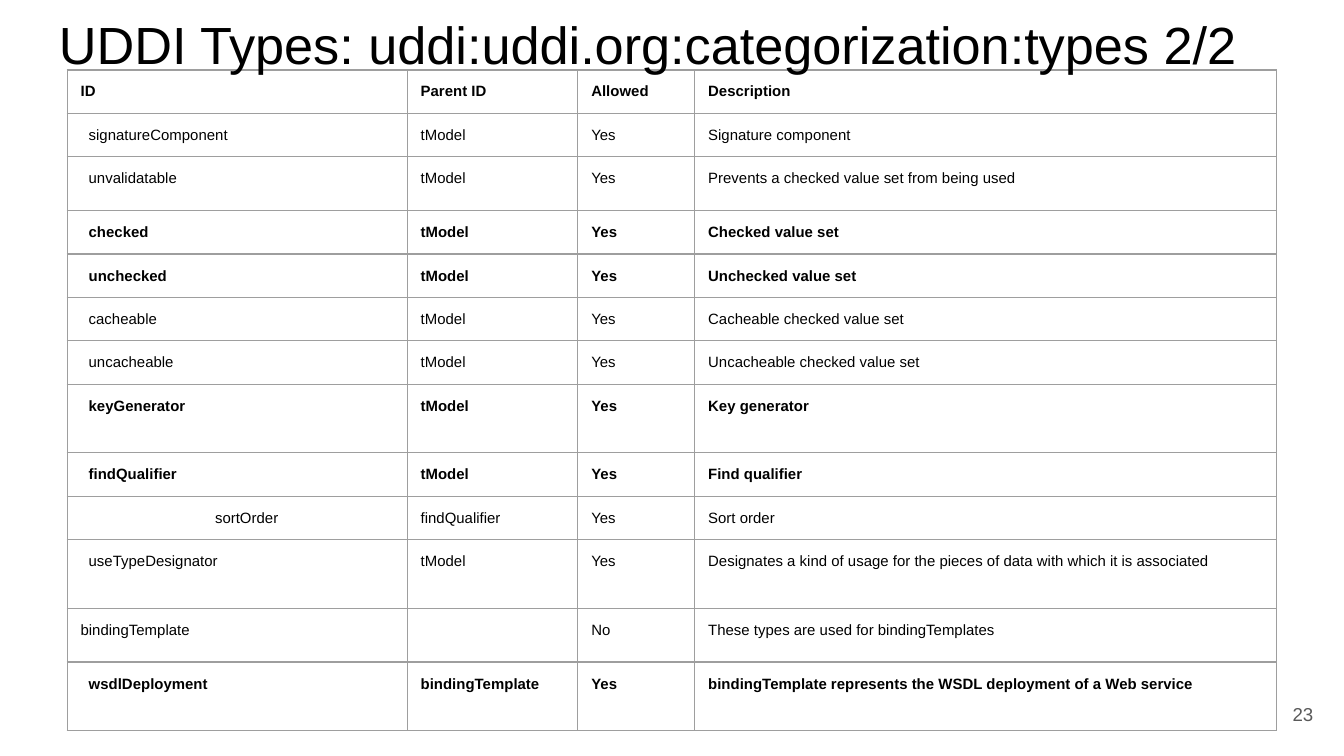
import pptx
import pptx.util
import pptx.dml.color
import pptx.enum.text
import pptx.oxml.ns
import lxml.etree

Inch, Pt = pptx.util.Inches, pptx.util.Pt
ANCHOR, ALIGN = pptx.enum.text.MSO_ANCHOR, pptx.enum.text.PP_ALIGN
qn = pptx.oxml.ns.qn

# Content: indent level, bold, row height, then the four cells
TITLE = "UDDI Types: uddi:uddi.org:categorization:types 2/2"
PAGE = "23"
LOW, MID, TALL = 0.3, 0.4, 0.51
ROWS = [
    (0, True, LOW, "ID", "Parent ID", "Allowed", "Description"),
    (1, False, LOW, "signatureComponent", "tModel", "Yes", "Signature component"),
    (1, False, MID, "unvalidatable", "tModel", "Yes",
     "Prevents a checked value set from being used"),
    (1, True, LOW, "checked", "tModel", "Yes", "Checked value set"),
    (1, True, LOW, "unchecked", "tModel", "Yes", "Unchecked value set"),
    (1, False, LOW, "cacheable", "tModel", "Yes", "Cacheable checked value set"),
    (1, False, LOW, "uncacheable", "tModel", "Yes", "Uncacheable checked value set"),
    (1, True, TALL, "keyGenerator", "tModel", "Yes", "Key generator"),
    (1, True, LOW, "findQualifier", "tModel", "Yes", "Find qualifier"),
    (2, False, LOW, "sortOrder", "findQualifier", "Yes", "Sort order"),
    (1, False, TALL, "useTypeDesignator", "tModel", "Yes",
     "Designates a kind of usage for the pieces of data with which it is associated"),
    (0, False, MID, "bindingTemplate", "", "No",
     "These types are used for bindingTemplates"),
    (1, True, TALL, "wsdlDeployment", "bindingTemplate", "Yes",
     "bindingTemplate represents the WSDL deployment of a Web service"),
]
COLS = [2.53, 1.27, 0.87, 4.33]
INDENT = [0, 0.06, 1]


def tint(code):
    return pptx.dml.color.RGBColor.from_string(code)


def write(para, text, size, color="000000", bold=False):
    run = para.add_run()
    run.text = text
    run.font.name, run.font.size, run.font.bold = "Arial", Pt(size), bold
    run.font.color.rgb = tint(color)


def pad(box, low=0.1):
    box.margin_left = box.margin_right = box.margin_top = Inch(0.1)
    box.margin_bottom = Inch(low)


def label(slide, area, text, size, color, anchor, align):
    frame = slide.shapes.add_textbox(*map(Inch, area)).text_frame
    frame.word_wrap = True
    frame.vertical_anchor = anchor
    pad(frame)
    frame.paragraphs[0].alignment = align
    write(frame.paragraphs[0], text, size, color)


def border(cell, color, width):
    props = cell._tc.get_or_add_tcPr()
    for i, side in enumerate(("lnL", "lnR", "lnT", "lnB")):
        line = lxml.etree.Element(qn("a:" + side), w=str(Pt(width)))
        fill = lxml.etree.SubElement(line, qn("a:solidFill"))
        lxml.etree.SubElement(fill, qn("a:srgbClr"), val=color)
        props.insert(i, line)


def fill_cell(cell, text, bold, indent):
    pad(cell, 0.09)
    cell.fill.background()
    border(cell, "9E9E9E", 0.75)
    para = cell.text_frame.paragraphs[0]
    if indent:
        props = para._p.get_or_add_pPr()
        props.set("marL", str(Inch(indent)))
        props.set("indent", "0")
    if text:
        write(para, text, 8, bold=bold)
    else:  # keeps the empty cell from stretching its row
        lxml.etree.SubElement(para._p, qn("a:endParaRPr"), sz="800")


# Slide in 16:9
deck = pptx.Presentation()
deck.slide_width = Inch(10)
deck.slide_height = Inch(10) * 9 // 16
slide = deck.slides.add_slide(deck.slide_layouts[6])

# Page number
label(slide, (9.27, 5.1, 0.6, 0.43), PAGE, 10, "595959", ANCHOR.MIDDLE, ALIGN.RIGHT)

# Table of types
high = sum(row[2] for row in ROWS)
grid = slide.shapes.add_table(len(ROWS), len(COLS), Inch(0.5), Inch(0.52),
                              Inch(sum(COLS)), Inch(high)).table
grid.first_row = grid.horz_banding = False
for col, wide in zip(grid.columns, COLS):
    col.width = Inch(wide)
for r, (level, bold, tall, *texts) in enumerate(ROWS):
    grid.rows[r].height = Inch(tall)
    for c, text in enumerate(texts):
        fill_cell(grid.cell(r, c), text, bold, INDENT[level] if c == 0 else 0)

# Title
label(slide, (0.34, -0.01, 9.32, 0.63), TITLE, 28, "000000", ANCHOR.TOP, ALIGN.LEFT)

deck.save("out.pptx")
